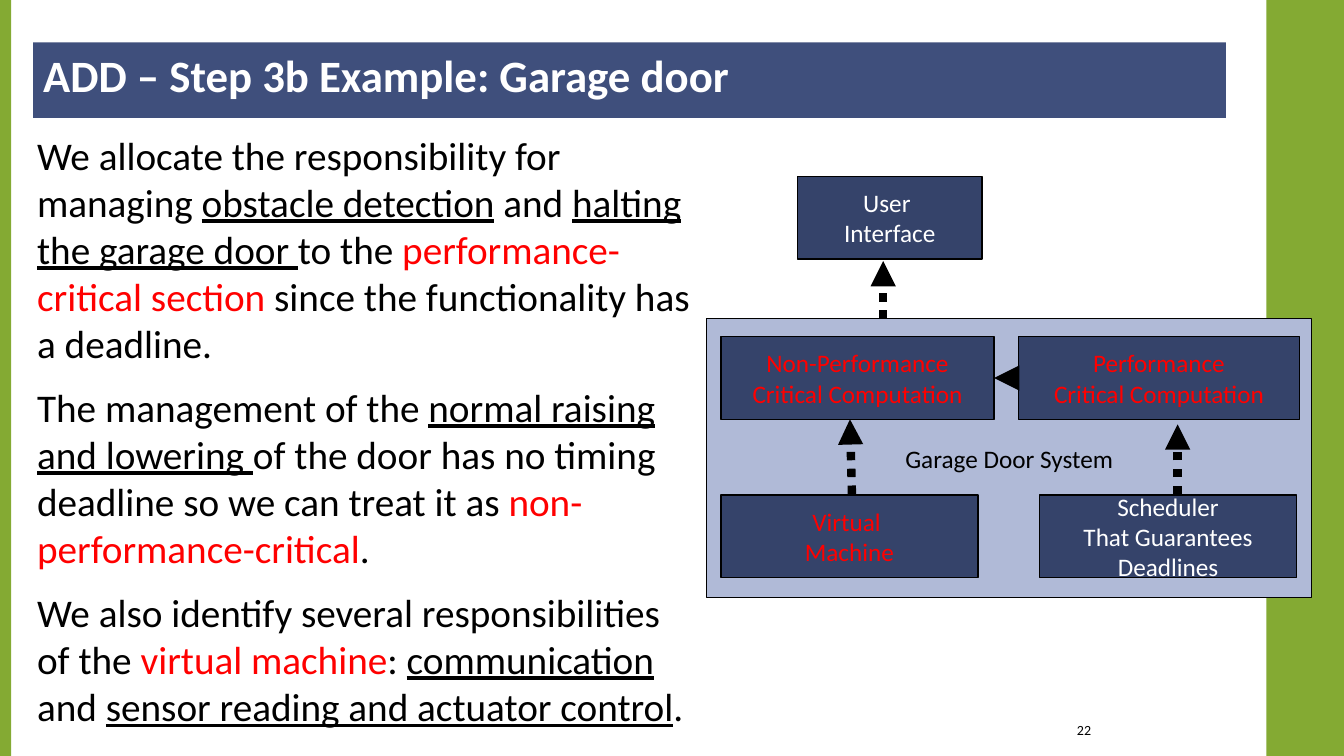
from lxml import etree
from pptx import Presentation
from pptx.dml.color import RGBColor
from pptx.enum.dml import MSO_LINE
from pptx.enum.shapes import MSO_CONNECTOR, MSO_SHAPE
from pptx.enum.text import MSO_ANCHOR, MSO_AUTO_SIZE, PP_ALIGN
from pptx.oxml.ns import qn
from pptx.util import Inches, Pt

RECTANGLE = MSO_SHAPE.RECTANGLE
STRAIGHT = MSO_CONNECTOR.STRAIGHT
DOTTED = MSO_LINE.ROUND_DOT
MIDDLE = MSO_ANCHOR.MIDDLE
LEFT, CENTER, RIGHT = PP_ALIGN.LEFT, PP_ALIGN.CENTER, PP_ALIGN.RIGHT
GROW = MSO_AUTO_SIZE.SHAPE_TO_FIT_TEXT

FONT = "Calibri"
BLACK, WHITE, RED = "000000", "FFFFFF", "FF0000"
GREEN, TITLE_BLUE, NAVY, PALE_BLUE = "84AA33", "3F4F7C", "35436A", "B0BAD7"
LEFT_SIDE, RIGHT_SIDE = 1, 3

# Each span is (text, style): "" plain, "u" underlined, "r" red
BODY = [
    [("We allocate the responsibility for managing ", ""),
     ("obstacle detection", "u"), (" and ", ""),
     ("halting the garage door ", "u"), ("to the ", ""),
     ("performance-critical section", "r"),
     (" since the functionality has a deadline.", "")],
    [("The management of the ", ""),
     ("normal raising and lowering ", "u"),
     ("of the door has no timing deadline so we can treat it as ", ""),
     ("non-performance-critical", "r"), (".", "")],
    [("We also identify several responsibilities of the ", ""),
     ("virtual machine", "r"), (": ", ""),
     ("communication", "u"), (" and ", ""),
     ("sensor reading and actuator control", "u"), (".", "")],
]


def color(value):
    return RGBColor.from_string(value)


def style(para, size, ink, align=LEFT, bold=False):
    para.alignment = align
    para.font.name = FONT
    para.font.size = Pt(size)
    para.font.bold = bold
    para.font.color.rgb = color(ink)


def add_box(page, left, top, width, height, fill, outlined=False):
    box = page.shapes.add_shape(RECTANGLE, Inches(left), Inches(top),
                                Inches(width), Inches(height))
    box.shadow.inherit = False
    box.fill.solid()
    box.fill.fore_color.rgb = color(fill)
    if outlined:
        box.line.color.rgb = color(BLACK)
        box.line.width = Pt(1)
    else:
        box.line.fill.background()
    return box


def add_module(page, left, top, width, height, lines, ink, fill=NAVY):
    """Outlined box with one centred paragraph per line."""
    box = add_box(page, left, top, width, height, fill, outlined=True)
    frame = box.text_frame
    frame.word_wrap = False
    frame.vertical_anchor = MIDDLE
    frame.text = "\n".join(lines)
    for para in frame.paragraphs:
        style(para, 18, ink, CENTER)
    return box


def add_arrow(page, x1, y1, x2, y2):
    arrow = page.shapes.add_connector(STRAIGHT, Inches(x1), Inches(y1),
                                      Inches(x2), Inches(y2))
    arrow.line.color.rgb = color(BLACK)
    arrow.line.width = Pt(6)
    arrow.line.dash_style = DOTTED
    etree.SubElement(arrow.line._get_or_add_ln(), qn("a:tailEnd"),
                     type="triangle")
    etree.SubElement(arrow._element.spPr, qn("a:effectLst"))
    return arrow


def add_text(page, left, top, width, height):
    box = page.shapes.add_textbox(Inches(left), Inches(top),
                                  Inches(width), Inches(height))
    box.text_frame.word_wrap = True
    return box.text_frame


def add_title(page, text):
    bar = add_box(page, 0.33, 0.42, 11.83, 0.75, TITLE_BLUE)
    bar.text_frame.vertical_anchor = MSO_ANCHOR.TOP
    bar.text_frame.text = text
    style(bar.text_frame.paragraphs[0], 32, WHITE, bold=True)


def add_page_number(page, number):
    frame = add_text(page, 9.48, 7.08, 1.44, 0.33)
    frame.vertical_anchor = MIDDLE
    frame.text = number
    style(frame.paragraphs[0], 10, BLACK, RIGHT)


def add_body(page):
    frame = add_text(page, 0.27, 1.25, 6.73, 6.09)
    frame.auto_size = GROW
    for index, spans in enumerate(BODY):
        para = frame.add_paragraph() if index else frame.paragraphs[0]
        style(para, 28, BLACK)
        para.space_before = Pt(12)
        for text, look in spans:
            span = para.add_run()
            span.text = text
            if look == "u":
                span.font.underline = True
            elif look == "r":
                span.font.color.rgb = color(RED)


def add_diagram(page):
    # Modules
    height, upper, lower, column = 0.82, 3.34, 4.91, 7.15
    add_module(page, 7.01, 3.16, 6, 2.77, ["Garage Door System"],
               BLACK, PALE_BLUE)
    add_module(page, 7.91, 1.75, 1.83, height, ["User ", "Interface"], WHITE)
    non_critical = add_module(page, column, upper, 2.71, height,
                              ["Non-Performance", "Critical Computation"], RED)
    critical = add_module(page, 10.1, upper, 2.79, height,
                          ["Performance", "Critical Computation"], RED)
    add_module(page, 10.31, lower, 2.55, height,
               ["Scheduler", "That Guarantees", "Deadlines"], WHITE)
    add_module(page, column, lower, 2.55, height, ["Virtual ", "Machine"], RED)

    # Dependencies
    add_arrow(page, 11.68, 4.9, 11.68, 4.21)
    add_arrow(page, 8.45, 4.9, 8.43, 4.16)
    add_arrow(page, 8.76, 3.16, 8.76, 2.59)
    link = add_arrow(page, 10.1, 3.75, 9.86, 3.75)
    link.begin_connect(critical, LEFT_SIDE)
    link.end_connect(non_critical, RIGHT_SIDE)


def main():
    deck = Presentation()
    deck.slide_width, deck.slide_height = Inches(13.33), Inches(7.5)
    page = deck.slides.add_slide(deck.slide_layouts[6])

    # Side bands
    add_box(page, 12.56, 0, 0.77, 7.5, GREEN)
    add_box(page, 0, 0, 0.11, 7.5, GREEN)

    # Content
    add_title(page, "ADD – Step 3b Example: Garage door")
    add_page_number(page, "22")
    add_body(page)
    add_diagram(page)
    deck.save("out.pptx")


if __name__ == "__main__":
    main()
